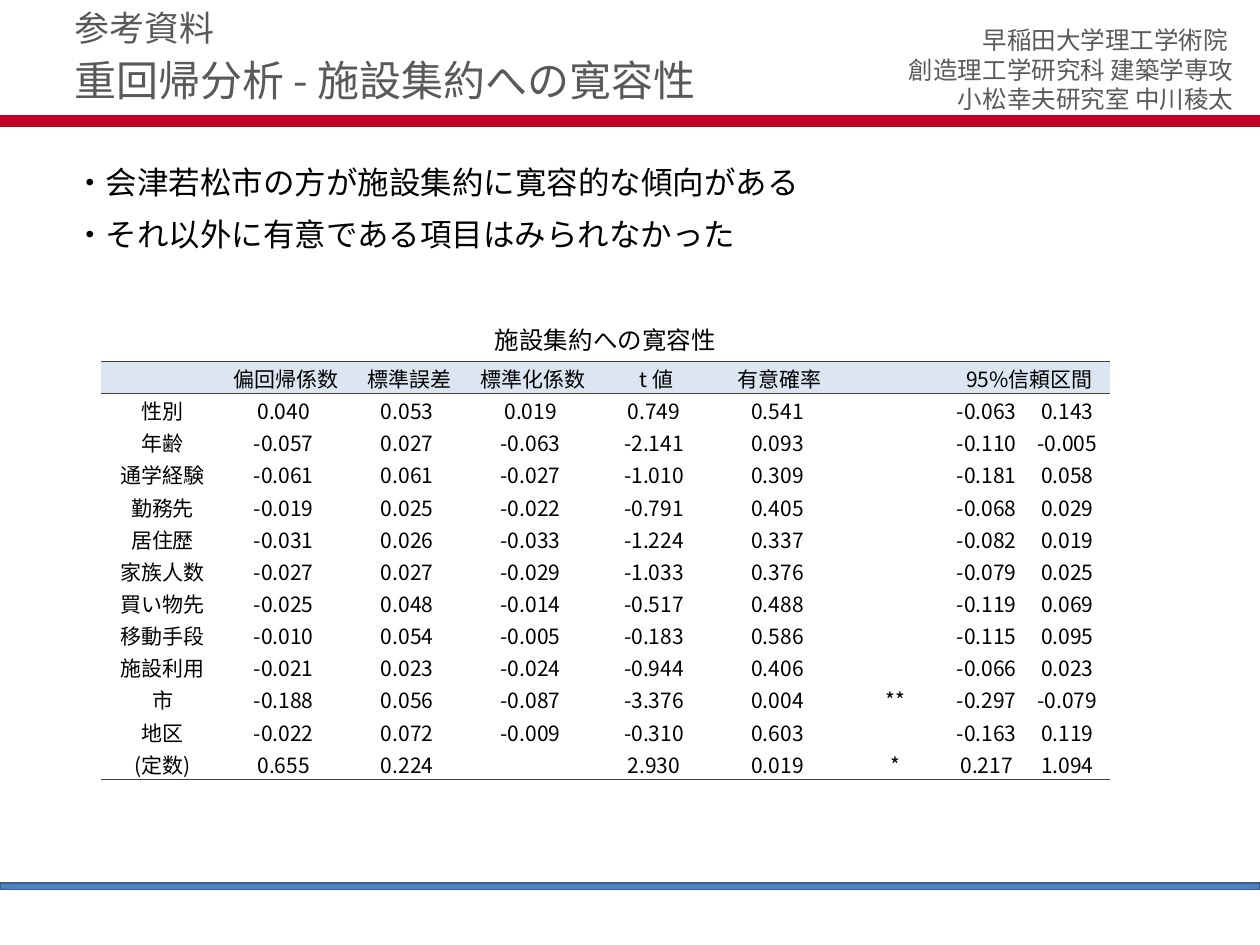
from dataclasses import dataclass
from typing import NamedTuple

from lxml.etree import SubElement
from pptx import Presentation
from pptx.dml.color import RGBColor
from pptx.enum.shapes import MSO_SHAPE
from pptx.enum.text import MSO_ANCHOR, MSO_AUTO_SIZE, PP_ALIGN
from pptx.oxml.ns import qn
from pptx.util import Inches, Pt


@dataclass(frozen=True)
class Theme:
    font: str = "Noto Sans CJK JP"
    text: str = "000000"
    muted: str = "595959"
    red: str = "C00029"
    blue: str = "4F81BD"
    blue_edge: str = "3A5F8C"
    header: str = "DCE6F2"
    rule: str = "404040"
    title: int = 24
    label: int = 20
    body: int = 18
    caption: int = 14
    cell: int = 12


class Bar(NamedTuple):
    top: float
    height: float
    fill: str
    line: str


class Block(NamedTuple):
    box: tuple[float, float, float, float]
    lines: list[str]
    size: int
    color: str
    align: PP_ALIGN = PP_ALIGN.LEFT
    anchor: MSO_ANCHOR = MSO_ANCHOR.TOP
    spacing: float = 1.0
    before: int = 0
    grow: bool = False


T = Theme()

BARS = [Bar(0.92, 0.08, T.red, T.red), Bar(7.01, 0.05, T.blue, T.blue_edge)]

BLOCKS = [
    Block((6.02, 0.15, 3.87, 0.81),
          ["早稲田大学理工学術院 ", "創造理工学研究科 建築学専攻", "小松幸夫研究室 中川稜太"],
          T.caption, T.muted, PP_ALIGN.RIGHT, grow=True),
    Block((0.49, 0.4, 8.62, 0.52), ["重回帰分析 - 施設集約への寛容性"],
          T.title, T.muted, anchor=MSO_ANCHOR.MIDDLE, spacing=0.9),
    Block((0.49, 0, 6.35, 0.4), ["参考資料"], T.label, T.muted, before=10),
    Block((2.3, 2.53, 5.01, 0.34), ["施設集約への寛容性"],
          T.caption, T.text, PP_ALIGN.CENTER, grow=True),
    Block((0.49, 1.28, 8.99, 5.58),
          ["・会津若松市の方が施設集約に寛容的な傾向がある",
           "・それ以外に有意である項目はみられなかった"],
          T.body, T.text, spacing=0.9, before=10),
]

# Columns: item, coefficient, error, standardised, t, p, mark, lower, upper
HEADER = ["", "偏回帰係数", "標準誤差", "標準化係数", "t 値", "有意確率", "", "95%信頼区間", ""]
ROWS = [
    ("性別", 0.040, 0.053, 0.019, 0.749, 0.541, "", -0.063, 0.143),
    ("年齢", -0.057, 0.027, -0.063, -2.141, 0.093, "", -0.110, -0.005),
    ("通学経験", -0.061, 0.061, -0.027, -1.010, 0.309, "", -0.181, 0.058),
    ("勤務先", -0.019, 0.025, -0.022, -0.791, 0.405, "", -0.068, 0.029),
    ("居住歴", -0.031, 0.026, -0.033, -1.224, 0.337, "", -0.082, 0.019),
    ("家族人数", -0.027, 0.027, -0.029, -1.033, 0.376, "", -0.079, 0.025),
    ("買い物先", -0.025, 0.048, -0.014, -0.517, 0.488, "", -0.119, 0.069),
    ("移動手段", -0.010, 0.054, -0.005, -0.183, 0.586, "", -0.115, 0.095),
    ("施設利用", -0.021, 0.023, -0.024, -0.944, 0.406, "", -0.066, 0.023),
    ("市", -0.188, 0.056, -0.087, -3.376, 0.004, "**", -0.297, -0.079),
    ("地区", -0.022, 0.072, -0.009, -0.310, 0.603, "", -0.163, 0.119),
    ("(定数)", 0.655, 0.224, "", 2.930, 0.019, "*", 0.217, 1.094),
]
COL_WIDTHS = [0.98] * 6 + [0.85, 0.64, 0.64]
TABLE_LEFT, TABLE_TOP, TABLE_HEIGHT = 0.8, 2.87, 3.32


def add_run(p, text: str, size: int, color: str) -> None:
    r = p.add_run()
    r.text = text
    r.font.size = Pt(size)
    r.font.name = T.font
    r.font.color.rgb = RGBColor.from_string(color)
    SubElement(r.font._element, qn("a:ea"), typeface=T.font)


def draw_bar(s, bar: Bar) -> None:
    sp = s.shapes.add_shape(MSO_SHAPE.RECTANGLE, 0, Inches(bar.top),
                            Inches(10), Inches(bar.height))
    sp.shadow.inherit = False
    sp.fill.solid()
    sp.fill.fore_color.rgb = RGBColor.from_string(bar.fill)
    sp.line.color.rgb = RGBColor.from_string(bar.line)
    sp.line.width = Pt(1)


def draw_block(s, block: Block) -> None:
    tf = s.shapes.add_textbox(*map(Inches, block.box)).text_frame
    tf.word_wrap = True
    tf.vertical_anchor = block.anchor
    tf.auto_size = MSO_AUTO_SIZE.SHAPE_TO_FIT_TEXT if block.grow else MSO_AUTO_SIZE.NONE
    for i, line in enumerate(block.lines):
        p = tf.add_paragraph() if i else tf.paragraphs[0]
        p.alignment = block.align
        p.line_spacing = block.spacing
        p.space_before = Pt(block.before)
        add_run(p, line, block.size, block.color)


def set_borders(cell, top: float, bottom: float) -> None:
    """Rule the cell above and below; a width of 0 means no line."""
    tc_pr = cell._tc.get_or_add_tcPr()
    for side, width in (("L", 0), ("R", 0), ("T", top), ("B", bottom)):
        ln = SubElement(tc_pr, qn(f"a:ln{side}"), w=str(Pt(width)))
        if width:
            fill = SubElement(ln, qn("a:solidFill"))
            SubElement(fill, qn("a:srgbClr"), val=T.rule)
        else:
            SubElement(ln, qn("a:noFill"))


def fill_cell(cell, value: str | float, row: int) -> None:
    last = len(ROWS)
    set_borders(cell, {0: 1, 1: 0.5}.get(row, 0), {0: 0.5, last: 1}.get(row, 0))
    if row == 0:
        cell.fill.solid()
        cell.fill.fore_color.rgb = RGBColor.from_string(T.header)
    else:
        cell.fill.background()
    cell.margin_left = cell.margin_right = cell.margin_top = Inches(0.01)
    cell.margin_bottom = 0
    cell.vertical_anchor = MSO_ANCHOR.MIDDLE
    p = cell.text_frame.paragraphs[0]
    p.alignment = PP_ALIGN.CENTER
    text = f"{value:.3f} " if isinstance(value, float) else value
    if text:
        add_run(p, text, T.cell, T.text)
    else:
        # Keeps blank cells from stretching the row
        SubElement(p._p, qn("a:endParaRPr"), sz=str(T.cell * 100))


def draw_table(s) -> None:
    data = [HEADER, *ROWS]
    table = s.shapes.add_table(
        len(data), len(HEADER), Inches(TABLE_LEFT), Inches(TABLE_TOP),
        Inches(sum(COL_WIDTHS)), Inches(TABLE_HEIGHT)).table
    table.first_row = table.horz_banding = False
    for col, width in zip(table.columns, COL_WIDTHS):
        col.width = Inches(width)
    for i, values in enumerate(data):
        table.rows[i].height = Inches(TABLE_HEIGHT / len(data))
        for j, value in enumerate(values):
            fill_cell(table.cell(i, j), value, i)
    table.cell(0, 7).merge(table.cell(0, 8))


def main() -> None:
    prs = Presentation()
    prs.slide_width, prs.slide_height = Inches(10), Inches(7.5)
    s = prs.slides.add_slide(prs.slide_layouts[6])

    # Header and footer bars
    for bar in BARS:
        draw_bar(s, bar)

    # Regression results
    draw_table(s)

    # Affiliation, headings, caption and findings
    for block in BLOCKS:
        draw_block(s, block)

    prs.save("out.pptx")


if __name__ == "__main__":
    main()
